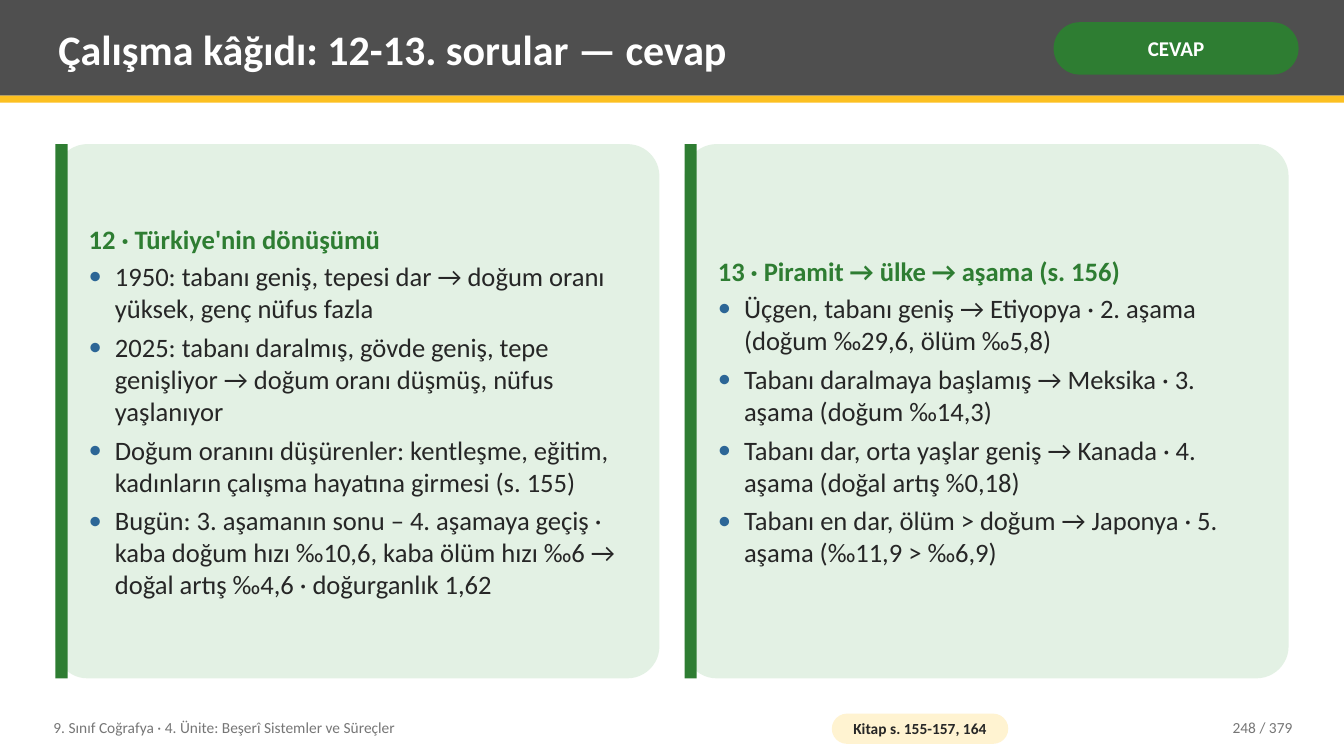
from dataclasses import dataclass

from lxml import etree
from pptx import Presentation
from pptx.dml.color import RGBColor
from pptx.enum.shapes import MSO_SHAPE
from pptx.enum.text import MSO_ANCHOR, PP_ALIGN
from pptx.oxml.ns import qn
from pptx.shapes.base import BaseShape
from pptx.slide import Slide
from pptx.util import Pt

EMU_PER_PX = 9144  # 100 px to the inch
RECTANGLE = MSO_SHAPE.RECTANGLE
ROUNDED = MSO_SHAPE.ROUNDED_RECTANGLE
MIDDLE = MSO_ANCHOR.MIDDLE
LEFT, CENTER, RIGHT = PP_ALIGN.LEFT, PP_ALIGN.CENTER, PP_ALIGN.RIGHT


@dataclass(frozen=True)
class Theme:
    font: str = "Calibri"
    header: str = "4F4F4F"
    accent: str = "FCC021"
    white: str = "FFFFFF"
    green: str = "2E7D32"
    pale_green: str = "E3F1E4"
    pale_yellow: str = "FFF3D1"
    bullet: str = "2C6696"
    ink: str = "262626"
    muted: str = "767676"
    title_size: int = 30
    body_size: int = 19
    badge_size: int = 15
    footer_size: int = 11


THEME = Theme()


@dataclass(frozen=True)
class Area:
    left: int
    top: int
    width: int
    height: int

    def emu(self) -> tuple[int, ...]:
        return tuple(px * EMU_PER_PX
                     for px in (self.left, self.top, self.width, self.height))


@dataclass(frozen=True)
class Style:
    size: int
    color: str
    bold: bool = False
    align: PP_ALIGN = LEFT


@dataclass(frozen=True)
class Label:
    area: Area
    text: str
    style: Style


@dataclass(frozen=True)
class Pill:
    label: Label
    fill: str


@dataclass(frozen=True)
class Card:
    heading: str
    points: tuple[str, ...]


LABELS = (
    Label(Area(50, 7, 975, 82), "Çalışma kâğıdı: 12-13. sorular — cevap",
          Style(THEME.title_size, THEME.white, True)),
    Label(Area(45, 704, 760, 36),
          "9. Sınıf Coğrafya · 4. Ünite: Beşerî Sistemler ve Süreçler",
          Style(THEME.footer_size, THEME.muted)),
    Label(Area(1130, 704, 160, 36), "248 / 379",
          Style(THEME.footer_size, THEME.muted, align=RIGHT)),
)
PILLS = (
    Pill(Label(Area(1045, 22, 243, 52), "CEVAP",
               Style(THEME.badge_size, THEME.white, True, CENTER)), THEME.green),
    Pill(Label(Area(825, 708, 175, 30), "Kitap s. 155-157, 164",
               Style(THEME.footer_size, THEME.ink, True, CENTER)), THEME.pale_yellow),
)
CARDS = (
    Card("12 · Türkiye'nin dönüşümü", (
        "1950: tabanı geniş, tepesi dar → doğum oranı yüksek, genç nüfus fazla",
        "2025: tabanı daralmış, gövde geniş, tepe genişliyor → doğum oranı düşmüş, "
        "nüfus yaşlanıyor",
        "Doğum oranını düşürenler: kentleşme, eğitim, kadınların çalışma hayatına "
        "girmesi (s. 155)",
        "Bugün: 3. aşamanın sonu – 4. aşamaya geçiş · kaba doğum hızı ‰10,6, "
        "kaba ölüm hızı ‰6 → doğal artış ‰4,6 · doğurganlık 1,62",
    )),
    Card("13 · Piramit → ülke → aşama (s. 156)", (
        "Üçgen, tabanı geniş → Etiyopya · 2. aşama (doğum ‰29,6, ölüm ‰5,8)",
        "Tabanı daralmaya başlamış → Meksika · 3. aşama (doğum ‰14,3)",
        "Tabanı dar, orta yaşlar geniş → Kanada · 4. aşama (doğal artış %0,18)",
        "Tabanı en dar, ölüm > doğum → Japonya · 5. aşama (‰11,9 > ‰6,9)",
    )),
)
PAGE_WIDTH, PAGE_HEIGHT = 1333, 750
CARD_LEFT, CARD_TOP, CARD_WIDTH, CARD_HEIGHT, CARD_GAP = 55, 143, 599, 530, 25
BULLET_INDENT = 26


def add_block(page: Slide, area: Area, fill: str, kind: MSO_SHAPE = RECTANGLE,
              rounding: float = 0) -> BaseShape:
    block = page.shapes.add_shape(kind, *area.emu())
    block.shadow.inherit = False
    block.fill.solid()
    block.fill.fore_color.rgb = RGBColor.from_string(fill)
    block.line.fill.background()
    if kind == ROUNDED:
        block.adjustments[0] = rounding
    return block


def prepare_frame(box: BaseShape, side: int, edge: int):
    """Wrap and centre the text vertically, with side and edge insets in px."""
    frame = box.text_frame
    frame.word_wrap = True
    frame.vertical_anchor = MIDDLE
    frame.margin_left = frame.margin_right = side * EMU_PER_PX
    frame.margin_top = frame.margin_bottom = edge * EMU_PER_PX
    return frame


def write(para, text: str, style: Style) -> None:
    para.text = text
    para.alignment = style.align
    font = para.font
    font.name = THEME.font
    font.size = Pt(style.size)
    font.bold = style.bold
    font.color.rgb = RGBColor.from_string(style.color)


def add_bullet(para) -> None:
    properties = para._p.get_or_add_pPr()
    properties.set("marL", str(BULLET_INDENT * EMU_PER_PX))
    properties.set("indent", str(-BULLET_INDENT * EMU_PER_PX))
    color = etree.SubElement(properties, qn("a:buClr"))
    etree.SubElement(color, qn("a:srgbClr"), val=THEME.bullet)
    etree.SubElement(properties, qn("a:buFont"), typeface=THEME.font)
    etree.SubElement(properties, qn("a:buChar"), char="•")


def add_label(page: Slide, label: Label) -> None:
    box = page.shapes.add_textbox(*label.area.emu())
    write(prepare_frame(box, 8, 4).paragraphs[0], label.text, label.style)


def add_pill(page: Slide, pill: Pill) -> None:
    box = add_block(page, pill.label.area, pill.fill, ROUNDED, 0.5)
    write(prepare_frame(box, 4, 0).paragraphs[0], pill.label.text, pill.label.style)


def add_card(page: Slide, card: Card, left: int) -> None:
    add_block(page, Area(left, CARD_TOP, CARD_WIDTH, CARD_HEIGHT),
              THEME.pale_green, ROUNDED, 0.06)
    add_block(page, Area(left, CARD_TOP, 12, CARD_HEIGHT), THEME.green)
    text_area = Area(left + 25, CARD_TOP + 6, CARD_WIDTH - 35, CARD_HEIGHT - 12)
    frame = prepare_frame(page.shapes.add_textbox(*text_area.emu()), 8, 4)
    heading = frame.paragraphs[0]
    heading.space_after = Pt(4)
    write(heading, card.heading, Style(THEME.body_size, THEME.green, True))
    for point in card.points:
        para = frame.add_paragraph()
        para.space_after = Pt(0 if point == card.points[-1] else 5)
        add_bullet(para)
        write(para, point, Style(THEME.body_size, THEME.ink))


def main() -> None:
    deck = Presentation()
    deck.slide_width = PAGE_WIDTH * EMU_PER_PX
    deck.slide_height = PAGE_HEIGHT * EMU_PER_PX
    page = deck.slides.add_slide(deck.slide_layouts[6])
    add_block(page, Area(0, 0, PAGE_WIDTH, 95), THEME.header)
    add_block(page, Area(0, 95, PAGE_WIDTH, 7), THEME.accent)
    for index, card in enumerate(CARDS):
        add_card(page, card, CARD_LEFT + index * (CARD_WIDTH + CARD_GAP))
    for label in LABELS:
        add_label(page, label)
    for pill in PILLS:
        add_pill(page, pill)
    deck.save("out.pptx")


if __name__ == "__main__":
    main()
